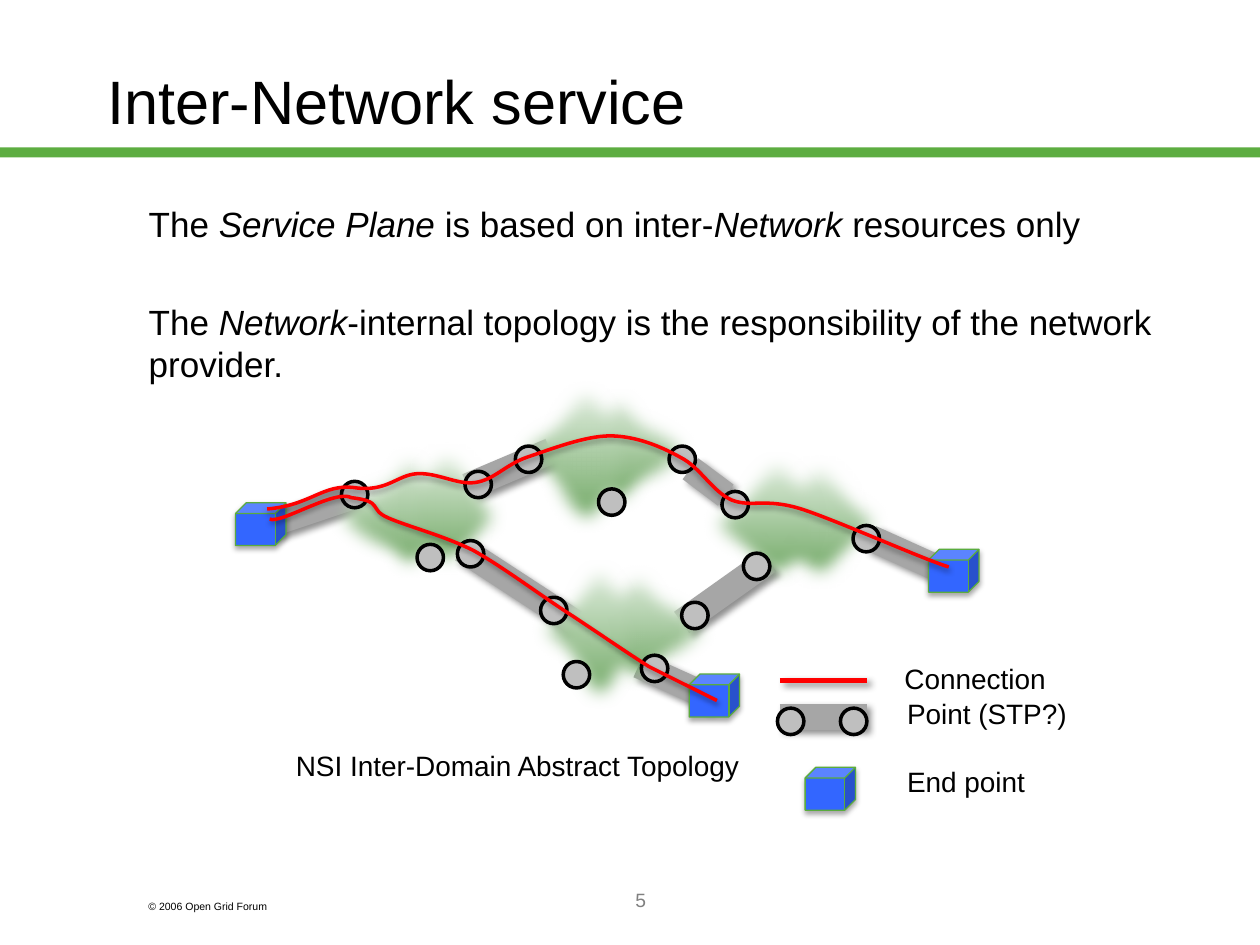
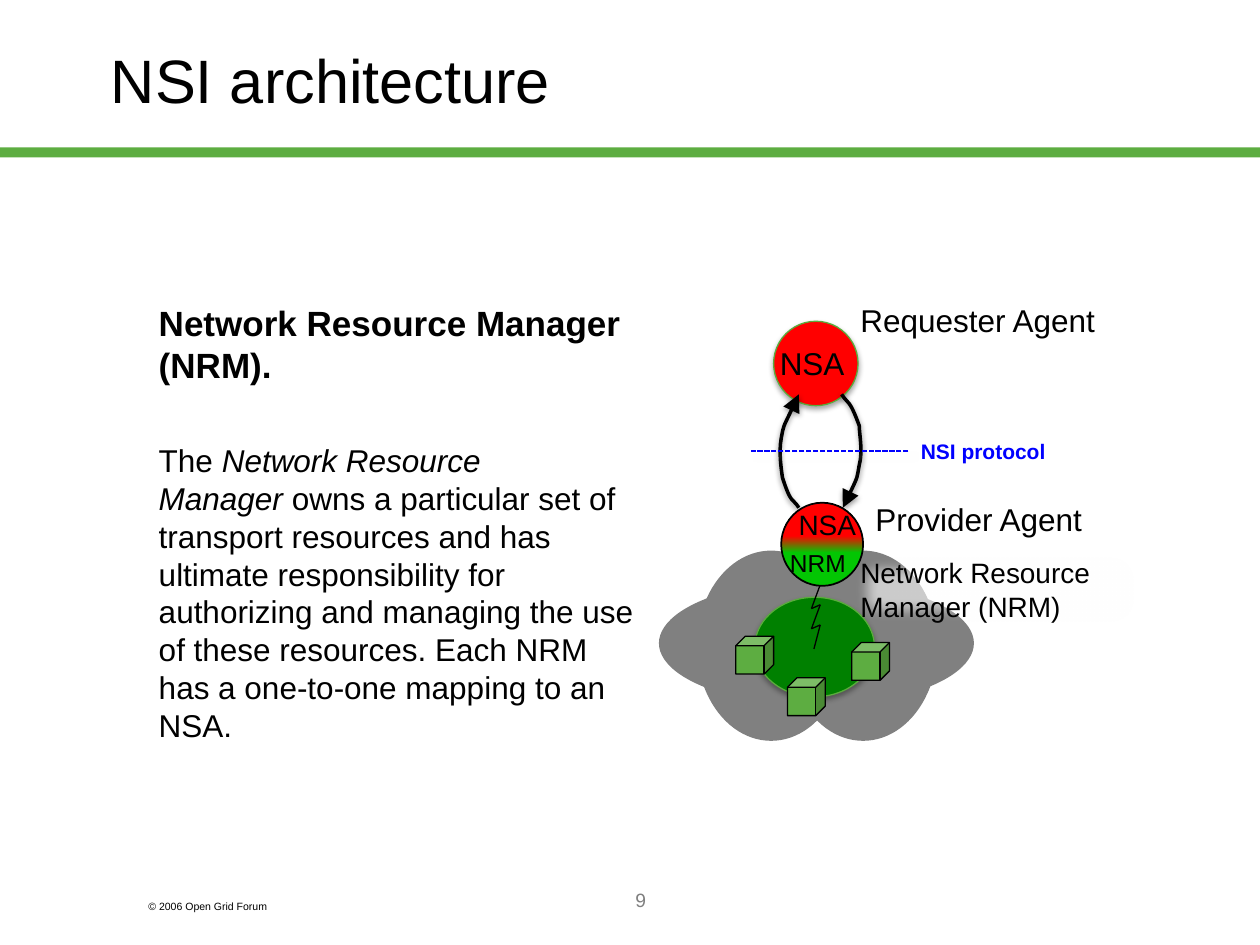
from itertools import pairwise

from lxml import etree
from pptx import Presentation
from pptx import util as u
from pptx.dml.color import RGBColor
from pptx.enum import dml, shapes, text
from pptx.oxml.ns import qn

FONT = "Arial"
BLACK, WHITE, RED = "000000", "FFFFFF", "FF0000"
GREEN, EDGE, GREY, BLUE = "5DAD41", "5AAC3D", "808080", "0000FF"
PIPE, POINT, HOST = "A6A6A6", "BFBFBF", "3366FF"
MIST = ((0.2, "7DB072"), (0.8, "D3E5D0"))
AGENT = ((0.4, "03C603"), (0.6, RED))
HARD = chr(160)  # space that holds two words on one line

# Shadows: colour, opacity %, blur pt, distance pt, angle
PIPE_SHADE = (BLACK, 43, 4, 3, 45)
BODY_SHADE = (BLACK, 35, 3.1, 1.8, 90)
PATH_SHADE = (BLACK, 38, 3.1, 1.6, 90)
RULE_SHADE = (WHITE, 38, 3.1, 4.6, 41)

OVAL = shapes.MSO_SHAPE.OVAL
CUBE = shapes.MSO_SHAPE.CUBE
BAR = shapes.MSO_SHAPE.RECTANGLE
LEFT, MID = text.PP_ALIGN.LEFT, text.PP_ALIGN.CENTER


def cm(inches):
    return u.Cm(round(inches * 2.54, 3))


def hue(code):
    return RGBColor.from_string(code)


def node(parent, tag, **attrs):
    child = etree.SubElement(parent, qn(tag))
    for name, value in attrs.items():
        child.set(name, str(value))
    return child


def place(item, left, top, width, height):
    item.left, item.top = cm(left), cm(top)
    item.width, item.height = cm(width), cm(height)


def style(para, size, color=BLACK, bold=False, align=LEFT):
    para.alignment = align
    for run in para.runs:
        font = run.font
        font.name, font.size, font.bold = FONT, u.Pt(size), bold
        font.color.rgb = hue(color)


def effect(item, shade=None, soft=0):
    """Replace inherited effects by a shadow, a soft edge (pt) or nothing."""
    effects = node(item._element.spPr, "a:effectLst")
    if shade:
        color, alpha, blur, dist, angle = shade
        cast = node(effects, "a:outerShdw", blurRad=u.Pt(blur),
                    dist=u.Pt(dist), dir=angle * 60000, rotWithShape=0)
        tint = node(cast, "a:srgbClr", val=color)
        node(tint, "a:alpha", val=alpha * 1000)
    if soft:
        node(effects, "a:softEdge", rad=u.Pt(soft))


def draw(slide, kind, box, fill, line=None, width=0.75, shade=None, soft=0):
    """Add a preset shape; a tuple as fill gives gradient stops, bottom up."""
    item = slide.shapes.add_shape(kind, *map(cm, box))
    if isinstance(fill, tuple):
        item.fill.gradient()
        item.fill.gradient_angle = 90
        for stop, (pos, code) in zip(item.fill.gradient_stops, fill):
            stop.position, stop.color.rgb = pos, hue(code)
    else:
        item.fill.solid()
        item.fill.fore_color.rgb = hue(fill)
    if line:
        item.line.color.rgb = hue(line)
        item.line.width = u.Pt(width)
    else:
        item.line.fill.background()
    effect(item, shade, soft)
    return item


def label(slide, words, box, size, color=BLACK, bold=False, align=LEFT,
          wrap=False):
    item = slide.shapes.add_textbox(*map(cm, box))
    frame = item.text_frame
    frame.word_wrap = wrap
    frame.text = words
    style(frame.paragraphs[0], size, color, bold, align)
    return item


def link(slide, start, end, color, width, shade=None):
    line = slide.shapes.add_connector(
        shapes.MSO_CONNECTOR.STRAIGHT, *map(cm, start + end))
    line.line.color.rgb = hue(color)
    line.line.width = u.Pt(width)
    effect(line, shade)
    return line


def curve(slide, knots, color, arrow=False):
    """Draw joined cubic curves: a start, then three knots for each."""
    spots = [tuple(map(cm, knot)) for knot in knots]
    pen = slide.shapes.build_freeform(*spots[0], scale=1.0)
    pen.add_line_segments(spots[1:], close=False)
    item = pen.convert_to_shape()
    legs = list(item._element.iter(qn("a:lnTo")))
    track = legs[0].getparent()
    for i in range(0, len(legs), 3):
        cubic = node(track, "a:cubicBezTo")
        for leg in legs[i:i + 3]:
            cubic.append(leg[0])
            track.remove(leg)
    item.fill.background()
    item.line.color.rgb = hue(color)
    item.line.width = u.Pt(2)
    if arrow:
        node(item.line._get_or_add_ln(), "a:tailEnd", type="triangle",
             w="lg", len="lg")
    effect(item, PATH_SHADE)


def host(slide, left, top):
    draw(slide, CUBE, (left, top, 0.4, 0.34), HOST, EDGE, shade=BODY_SHADE)


def point(slide, left, top):
    draw(slide, OVAL, (left, top, 0.21, 0.21), POINT, BLACK, 2)


def start(deck, title, box, number):
    """Add a slide with its title, green band, footer and number."""
    slide = deck.slides.add_slide(deck.slide_layouts[1])
    head = slide.shapes.title
    place(head, *box)
    frame = head.text_frame
    frame.text = title
    frame.vertical_anchor = text.MSO_ANCHOR.MIDDLE
    style(frame.paragraphs[0], 35)
    draw(slide, BAR, (0, 1.17, 10, 0.08), GREEN)
    label(slide, "© 2006 Open Grid Forum", (1.08, 7.09, 1.5, 0.2), 6)
    label(slide, number, (2.17, 7, 5.83, 0.5), 11, GREY, align=MID, wrap=True)
    return slide


def prose(slide, box, lines):
    """Fill the body with (words, size, bold); stars enclose italics."""
    body = slide.placeholders[1]
    place(body, *box)
    frame = body.text_frame
    frame.auto_size = text.MSO_AUTO_SIZE.NONE
    for i, (words, size, bold) in enumerate(lines):
        para = frame.add_paragraph() if i else frame.paragraphs[0]
        props = para._p.get_or_add_pPr()
        props.set("marL", str(cm(0.38)))
        props.set("indent", "0")
        node(props, "a:buNone")
        para.space_before = u.Pt(32 if i else 0)
        for j, part in enumerate(words.split("*")):
            run = para.add_run()
            run.text = part
            run.font.italic = j % 2 == 1
        style(para, size, bold=bold)


def service(deck):
    slide = start(deck, "Inter-Network service", (0.75, 0.17, 8.5, 1.25), "5")
    prose(slide, (0.7, 1.56, 8.75, 1.56), [
        ("The *Service Plane *is based on inter-*Network* resources only",
         20, False),
        ("The *Network*-internal topology is the responsibility of the "
         "network provider.", 20, False)])

    pipes = [((5.67, 5.55), (5.07, 5.28)), ((7.42, 4.5), (6.91, 4.27)),
             ((5.48, 3.72), (5.76, 3.93)), ((5.41, 4.94), (6.1, 4.45)),
             ((4.56, 4.94), (3.67, 4.36)), ((3.71, 3.86), (4.37, 3.58)),
             ((2.83, 3.93), (2.11, 4.17))]
    for ends in pipes:
        link(slide, *ends, PIPE, 15, PIPE_SHADE)

    clouds = [
        (4, 3.17, 1.58, 0.82), (4.58, 3.01, 0.68, 1.13),
        (4.24, 2.97, 0.83, 1.31),
        (4.16, 4.58, 1.58, 0.82), (4.73, 4.42, 0.68, 1.13),
        (4.39, 4.38, 0.74, 1.31),
        (5.53, 3.74, 1.58, 0.82), (6.1, 3.58, 0.81, 1.13),
        (5.76, 3.54, 0.82, 1.17),
        (2.55, 3.66, 1.53, 0.86), (2.92, 3.47, 0.66, 1.19),
        (3.15, 3.47, 0.8, 1.13)]
    for puff in clouds:
        draw(slide, OVAL, puff, MIST, soft=10)

    for spot in [(7.37, 4.36), (5.47, 5.35), (1.87, 3.99)]:
        host(slide, *spot)
    for spot in [(6.77, 4.17), (4.29, 4.74), (5.31, 3.54), (5.73, 3.9),
                 (5.41, 4.78), (5.9, 4.39), (3.63, 4.29), (3.69, 3.74),
                 (4.09, 3.54), (4.47, 5.25), (5.09, 5.2), (3.31, 4.32),
                 (4.75, 3.88), (2.71, 3.82)]:
        point(slide, *spot)

    upper = [(2.12, 4.04), (2.47, 4.01), (2.56, 3.84), (2.81, 3.87),
             (3.07, 3.91), (3.15, 3.77), (3.31, 3.76),
             (3.47, 3.75), (3.63, 3.85), (3.77, 3.83),
             (3.92, 3.81), (4.01, 3.69), (4.18, 3.63),
             (4.36, 3.57), (4.64, 3.46), (4.84, 3.46),
             (5.04, 3.46), (5.24, 3.54), (5.4, 3.63),
             (5.56, 3.71), (5.65, 3.9), (5.81, 3.97),
             (5.97, 4.03), (6.07, 3.95), (6.36, 4.04),
             (6.64, 4.13), (7.33, 4.44), (7.53, 4.5)]
    lower = [(2.14, 4.12), (2.23, 4.16), (2.66, 3.88), (2.79, 3.95),
             (3.05, 3.98), (2.92, 4.04), (3.08, 4.11),
             (3.24, 4.18), (3.52, 4.25), (3.76, 4.37),
             (3.99, 4.5), (4.27, 4.71), (4.5, 4.86),
             (4.73, 5.01), (4.96, 5.17), (5.15, 5.29),
             (5.33, 5.38), (5.51, 5.47), (5.69, 5.56)]
    for knots in (upper, lower):
        curve(slide, knots, RED)

    host(slide, 6.39, 6.09)
    link(slide, (6.19, 5.69), (6.88, 5.69), PIPE, 15, PIPE_SHADE)
    link(slide, (6.19, 5.4), (6.88, 5.4), RED, 3, PIPE_SHADE)
    for left in (6.17, 6.67):
        point(slide, left, 5.62)
    for words, left, top, width in [
            ("Connection", 7.08, 5.2, 1.33),
            ("Point (STP?)", 7.1, 5.48, 1.49),
            ("End point", 7.1, 6.02, 1.15),
            ("NSI Inter-Domain Abstract Topology", 2.25, 5.89, 3.76)]:
        label(slide, words, (left, top, width, 0.37), 16)


def design(deck):
    slide = start(deck, "NSI architecture", (0.78, 0, 8.5, 1.25), "9")
    prose(slide, (0.78, 2.34, 4.38, 3.98), [
        ("Network Resource Manager (NRM).", 20, True),
        (f"The *Network Resource Manager*{HARD}owns a particular set of "
         "transport resources and has ultimate responsibility for "
         "authorizing and managing the use of these resources. Each NRM has "
         "a one-to-one mapping to an NSA.", 18, False)])

    for lobe in [(5.23, 4.61, 2.5, 0.99), (5.53, 4.37, 1.18, 1.51),
                 (6.26, 4.37, 1.18, 1.51)]:
        draw(slide, OVAL, lobe, GREY)
    draw(slide, OVAL, (6.14, 2.55, 0.67, 0.67), RED, EDGE, shade=BODY_SHADE)
    label(slide, "Requester Agent", (6.73, 2.34, 2.08, 0.4), 18)
    draw(slide, OVAL, (5.99, 4.74, 0.95, 0.79), "008000", EDGE,
         shade=BODY_SHADE)

    down = [(6.68, 3.13), (6.73, 3.21), (6.74, 3.16), (6.82, 3.38),
            (6.82, 3.45), (6.85, 3.58), (6.82, 3.69),
            (6.8, 3.8), (6.82, 3.76), (6.69, 4.03)]
    back = [(6.34, 4.03), (6.29, 3.95), (6.28, 4.01), (6.21, 3.79),
            (6.2, 3.72), (6.18, 3.59), (6.2, 3.48),
            (6.22, 3.37), (6.21, 3.41), (6.34, 3.13)]
    for knots in (down, back):
        curve(slide, knots, BLACK, arrow=True)

    note = label(slide, "Network Resource Manager (NRM)",
                 (6.73, 4.36, 2.33, 0.64), 16, wrap=True)
    note.fill.solid()
    note.fill.fore_color.rgb = hue(WHITE)
    tint = note._element.spPr.find(".//" + qn("a:srgbClr"))
    node(tint, "a:alpha", val=60000)
    effect(note, soft=9)
    label(slide, "Provider Agent", (6.85, 3.92, 1.86, 0.4), 18)

    bolt = [(6.51, 4.64), (6.44, 4.83), (6.51, 4.8), (6.44, 4.99),
            (6.51, 4.96), (6.46, 5.15)]
    for ends in pairwise(bolt):
        link(slide, *ends, BLACK, 0.75)

    name = label(slide, "NSI protocol", (7.21, 3.43, 1.2, 0.3), 12, BLUE, True)
    rule = link(slide, (7.21, 3.58), (5.96, 3.58), BLUE, 1, RULE_SHADE)
    rule.line.dash_style = dml.MSO_LINE.SQUARE_DOT
    rule.begin_connect(name, 1)

    draw(slide, OVAL, (6.2, 3.99, 0.65, 0.66), AGENT, BLACK, 1)
    for left, top in [(5.84, 5.05), (6.25, 5.38), (6.76, 5.1)]:
        draw(slide, CUBE, (left, top, 0.3, 0.3), GREEN, BLACK)
    label(slide, "NSA", (6.24, 3.98, 0.66, 0.37), 16)
    label(slide, "NRM", (6.17, 4.3, 0.65, 0.34), 14)
    label(slide, "NSA", (6.09, 2.68, 0.72, 0.4), 18)


def main():
    deck = Presentation()
    deck.slide_width, deck.slide_height = cm(10), cm(7.5)
    service(deck)
    design(deck)
    deck.save("out.pptx")


if __name__ == "__main__":
    main()
